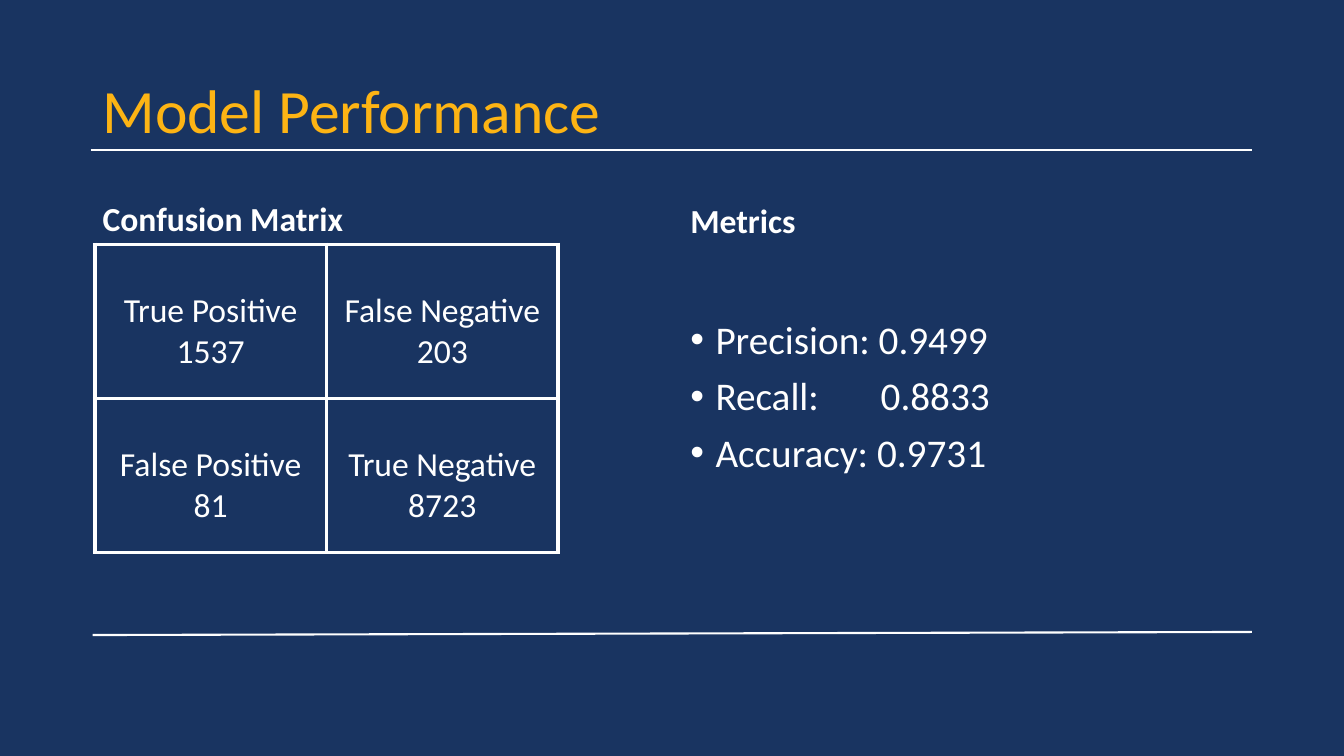
import pptx
import pptx.util
import pptx.dml.color
import pptx.enum.text
import pptx.enum.shapes
import pptx.oxml
import pptx.oxml.ns
from lxml import etree

Pt = pptx.util.Pt
ANCHOR = pptx.enum.text.MSO_ANCHOR
NAVY = pptx.dml.color.RGBColor(0x19, 0x34, 0x61)
GOLD = pptx.dml.color.RGBColor(0xFD, 0xB4, 0x14)
WHITE = pptx.dml.color.RGBColor(0xFF, 0xFF, 0xFF)
FONT = "Calibri"

HEADINGS = [
    ("Model Performance", (66.2, 28.8, 828, 104.4), 44, GOLD, False, ANCHOR.MIDDLE),
    ("Confusion Matrix", (66.2, 109.4, 406, 64.8), 24, WHITE, True, ANCHOR.BOTTOM),
    ("Metrics", (486, 110.9, 408, 64.8), 24, WHITE, True, ANCHOR.BOTTOM),
]
MATRIX = [
    [("True Positive", "1537"), ("False Negative", "203")],
    [("False Positive", "81"), ("True Negative", "8723")],
]
METRICS = ["Precision: 0.9499", "Recall:\t0.8833", "Accuracy: 0.9731"]
RULES = [(64.8, 107.3, 894.2, 107.3), (66.2, 453.6, 894.2, 451.4)]

MATRIX_LEFT, MATRIX_TOP = 67.7, 174.7
CELL_WIDTH, CELL_HEIGHT = 165.5, 110
CELL_TOP_MARGIN = 33
METRICS_BOX = (486, 144, 408, 342.7)
METRICS_TOP_MARGIN = 85
BULLET_INDENT, VALUE_TAB = 18, 136


def add(parent, tag, **attributes):
    return etree.SubElement(parent, pptx.oxml.ns.qn(tag), attributes)


def style(paragraph, size, color, bold=False):
    paragraph.font.name = FONT
    paragraph.font.size = Pt(size)
    paragraph.font.color.rgb = color
    paragraph.font.bold = bold


def add_text(slide, box, lines, size, color, bold=False, anchor=ANCHOR.TOP):
    frame = slide.shapes.add_textbox(*map(Pt, box)).text_frame
    frame.word_wrap = True
    frame.vertical_anchor = anchor
    frame.text = "\n".join(lines)
    for paragraph in frame.paragraphs:
        paragraph.line_spacing = 0.9
        paragraph.space_before = Pt(10)
        style(paragraph, size, color, bold)
    return frame


def add_rule(slide, ends):
    rule = slide.shapes.add_connector(
        pptx.enum.shapes.MSO_CONNECTOR.STRAIGHT, *map(Pt, ends))
    rule.line.color.rgb = WHITE
    rule.line.width = Pt(1.5)
    add(rule.element.spPr, "a:effectLst")


def border(cell):
    properties = cell._tc.get_or_add_tcPr()
    for position, side in enumerate(("a:lnL", "a:lnR", "a:lnT", "a:lnB")):
        edge = add(properties, side, w=str(Pt(3)))
        add(add(edge, "a:solidFill"), "a:srgbClr", val=str(WHITE))
        properties.insert(position, edge)


def add_matrix(slide):
    rows, columns = len(MATRIX), len(MATRIX[0])
    matrix = slide.shapes.add_table(
        rows, columns, Pt(MATRIX_LEFT), Pt(MATRIX_TOP),
        Pt(columns * CELL_WIDTH), Pt(rows * CELL_HEIGHT)).table
    matrix.first_row = matrix.horz_banding = False
    for r, outcomes in enumerate(MATRIX):
        for c, outcome in enumerate(outcomes):
            cell = matrix.cell(r, c)
            cell.fill.background()
            cell.margin_top = Pt(CELL_TOP_MARGIN)
            cell.text = "\n".join(outcome)
            for paragraph in cell.text_frame.paragraphs:
                paragraph.alignment = pptx.enum.text.PP_ALIGN.CENTER
                style(paragraph, 24, WHITE)
            border(cell)


def add_metrics(slide):
    frame = add_text(slide, METRICS_BOX, METRICS, 28, WHITE)
    frame.margin_top = Pt(METRICS_TOP_MARGIN)
    for paragraph in frame.paragraphs:
        properties = paragraph._p.get_or_add_pPr()
        properties.set("marL", str(Pt(BULLET_INDENT)))
        properties.set("indent", str(-Pt(BULLET_INDENT)))
        bullet_font = add(properties, "a:buFont", typeface="Arial")
        bullet = add(properties, "a:buChar", char="•")
        tabs = add(properties, "a:tabLst")
        add(tabs, "a:tab", pos=str(Pt(VALUE_TAB)), algn="l")
        defaults = properties.find(pptx.oxml.ns.qn("a:defRPr"))
        for part in (bullet_font, bullet, tabs):
            defaults.addprevious(part)


def main():
    deck = pptx.Presentation()
    deck.slide_width, deck.slide_height = Pt(960), Pt(540)
    slide = deck.slides.add_slide(deck.slide_layouts[6])
    slide.background.fill.solid()
    slide.background.fill.fore_color.rgb = NAVY
    for ends in RULES:
        add_rule(slide, ends)
    for text, box, size, color, bold, anchor in HEADINGS:
        add_text(slide, box, [text], size, color, bold, anchor)
    add_matrix(slide)
    add_metrics(slide)
    deck.save("out.pptx")


if __name__ == "__main__":
    main()
